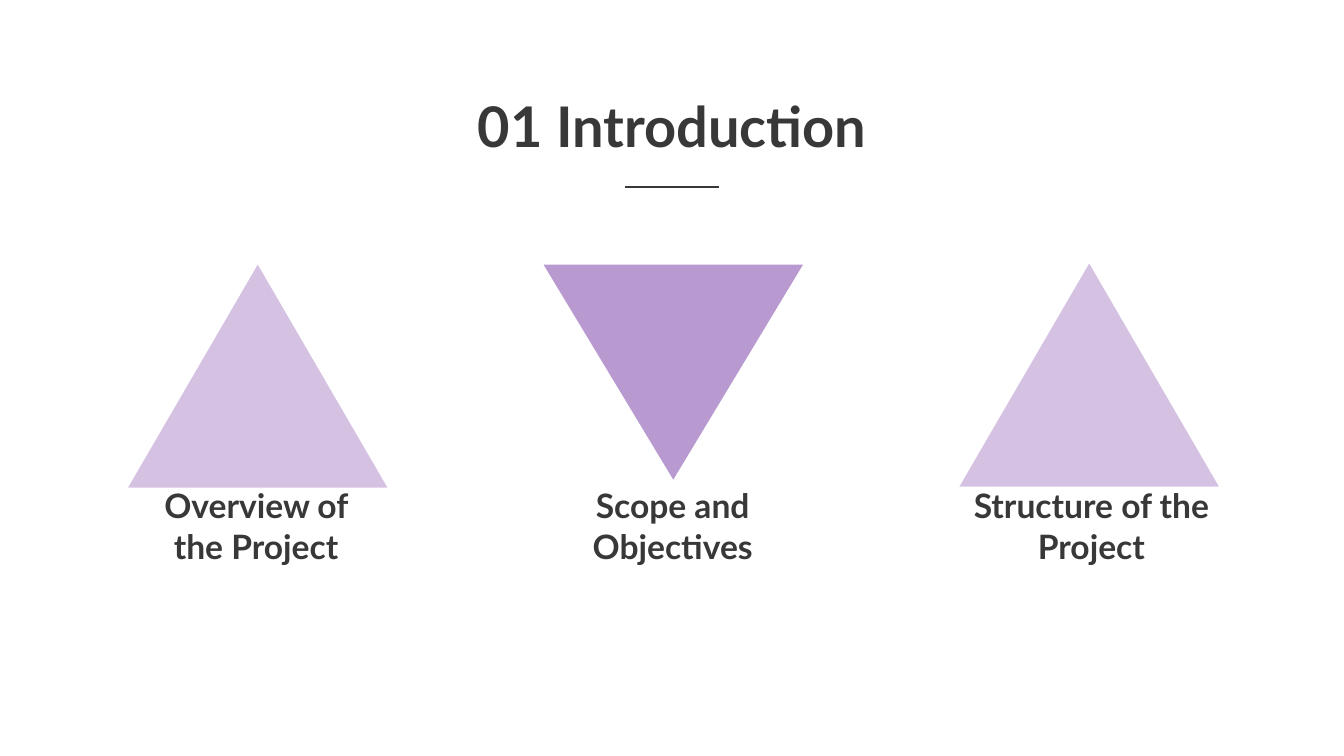
from lxml import etree
from pptx import Presentation
from pptx.dml.color import RGBColor
from pptx.enum.shapes import MSO_CONNECTOR, MSO_SHAPE
from pptx.enum.text import MSO_ANCHOR, MSO_AUTO_SIZE, PP_ALIGN
from pptx.oxml.ns import qn
from pptx.util import Pt

INK = RGBColor(0x38, 0x38, 0x38)
PURPLE = RGBColor(0x70, 0x30, 0xA0)


def write_heading(box, text, size, anchor):
    """Fill a box with centred bold Lato text."""
    frame = box.text_frame
    frame.text = text
    frame.word_wrap = True
    frame.auto_size = MSO_AUTO_SIZE.NONE
    frame.vertical_anchor = anchor
    frame.margin_left = frame.margin_right = Pt(7.2)
    frame.margin_top = frame.margin_bottom = Pt(7.2)
    paragraph = frame.paragraphs[0]
    paragraph.alignment = PP_ALIGN.CENTER
    font = paragraph.runs[0].font
    font.name = "Lato"
    font.size = Pt(size)
    font.bold = True
    font.color.rgb = INK


prs = Presentation()
prs.slide_width, prs.slide_height = Pt(720), Pt(405)
slide = prs.slides.add_slide(prs.slide_layouts[5])

title = slide.shapes.title
title.left, title.top, title.width, title.height = Pt(133), Pt(41.8), Pt(454.3), Pt(41.8)
write_heading(title, "01 Introduction", 30, MSO_ANCHOR.TOP)

underline = slide.shapes.add_connector(
    MSO_CONNECTOR.STRAIGHT, Pt(334.6), Pt(100.2), Pt(385.4), Pt(100.2))
underline.line.color.rgb = INK
underline.line.width = Pt(1.5)
etree.SubElement(underline._element.spPr, qn("a:effectLst"))

# caption, caption left and width, marker shape, marker left, top and height, opacity %
topics = [
    ("Overview of the Project", 67.7, 139, MSO_SHAPE.ISOSCELES_TRIANGLE, 68.6, 141.8, 119.5, 29),
    ("Scope and Objectives", 290.9, 139, MSO_SHAPE.FLOWCHART_MERGE, 291.2, 141.8, 115.2, 49),
    ("Structure of the Project", 499, 171.4, MSO_SHAPE.ISOSCELES_TRIANGLE, 514, 141.2, 119.5, 29),
]
for caption, left, width, kind, marker_left, marker_top, marker_height, opacity in topics:
    marker = slide.shapes.add_shape(
        kind, Pt(marker_left), Pt(marker_top), Pt(139), Pt(marker_height))
    marker.shadow.inherit = False
    marker.line.fill.background()
    marker.fill.solid()
    marker.fill.fore_color.rgb = PURPLE
    color = marker._element.spPr.find(qn("a:solidFill")).find(qn("a:srgbClr"))
    etree.SubElement(color, qn("a:alpha"), val=str(opacity * 1000))

    label = slide.shapes.add_textbox(Pt(left), Pt(269.3), Pt(width), Pt(24.5))
    write_heading(label, caption, 18, MSO_ANCHOR.MIDDLE)

prs.save("out.pptx")
